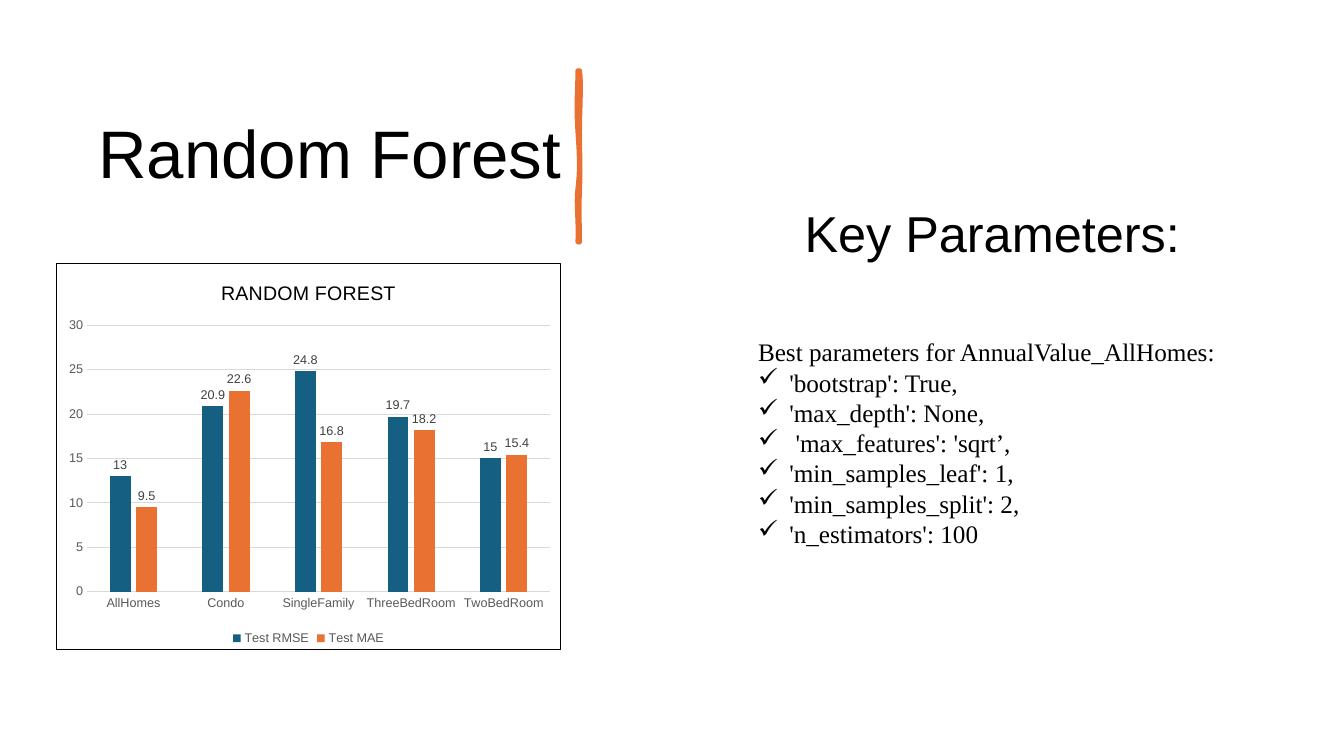
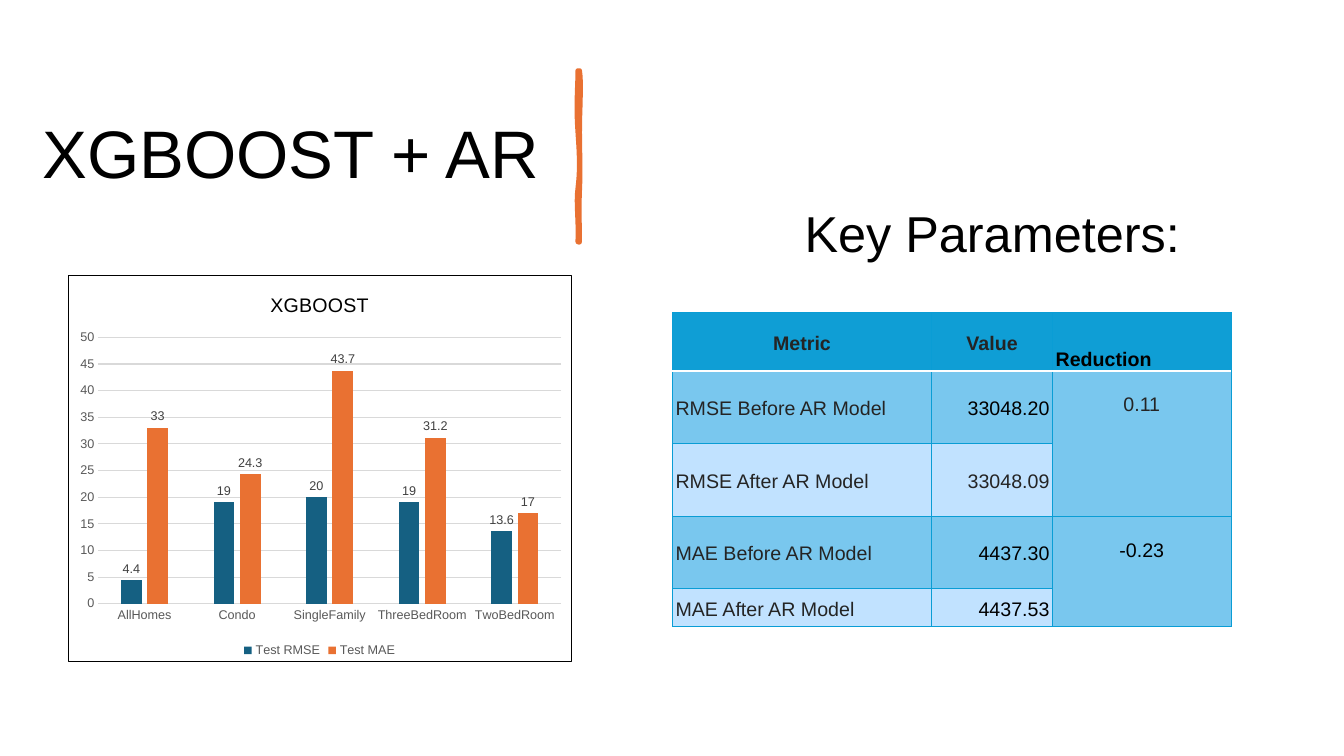
from lxml import etree
from pptx import Presentation
from pptx.chart.data import CategoryChartData
from pptx.dml.color import RGBColor
from pptx.enum.chart import XL_CHART_TYPE, XL_LABEL_POSITION, XL_LEGEND_POSITION, XL_TICK_MARK
from pptx.enum.text import MSO_ANCHOR, MSO_AUTO_SIZE, PP_ALIGN
from pptx.oxml.ns import qn
from pptx.util import Pt

PX = 9144  # EMU per px, 100 px to the inch
TITLE_ONLY = 5

BLACK = RGBColor(0x00, 0x00, 0x00)
WHITE = RGBColor(0xFF, 0xFF, 0xFF)
ORANGE = RGBColor(0xE9, 0x71, 0x32)
TEAL = RGBColor(0x15, 0x60, 0x82)
AXIS_GREY = RGBColor(0x59, 0x59, 0x59)
LABEL_GREY = RGBColor(0x40, 0x40, 0x40)
GRID_GREY = RGBColor(0xD9, 0xD9, 0xD9)
CELL_GREY = RGBColor(0x24, 0x24, 0x24)
HEADER_BLUE = RGBColor(0x0F, 0x9E, 0xD5)
BORDER_BLUE = RGBColor(0x0A, 0x9D, 0xD5)
BAND_BLUE = RGBColor(0x79, 0xC7, 0xEE)
PALE_BLUE = RGBColor(0xC1, 0xE2, 0xFF)

SANS, SERIF = "Arial", "Times New Roman"
LEFT, CENTER, RIGHT = PP_ALIGN.LEFT, PP_ALIGN.CENTER, PP_ALIGN.RIGHT
TOP, MIDDLE, BOTTOM = MSO_ANCHOR.TOP, MSO_ANCHOR.MIDDLE, MSO_ANCHOR.BOTTOM
COLUMNS = XL_CHART_TYPE.COLUMN_CLUSTERED
OUTSIDE_END = XL_LABEL_POSITION.OUTSIDE_END
LEGEND_BOTTOM = XL_LEGEND_POSITION.BOTTOM
NO_TICK = XL_TICK_MARK.NONE
NO_AUTOFIT = MSO_AUTO_SIZE.NONE

HOMES = ["AllHomes", "Condo", "SingleFamily", "ThreeBedRoom", "TwoBedRoom"]
PLOT_LAYOUT = {"x": 0.06, "y": 0.16, "w": 0.92, "h": 0.69}

# Brush stroke: start, then cubic curves (two controls and an end), in px
BRUSH_START = (575, 70)
BRUSH_CURVES = [
    ((577, 83), (575, 108), (575, 131)),
    ((575, 153), (576, 165), (575, 189)),
    ((574, 213), (575, 220), (575, 240)),
    ((574, 241), (574, 240), (573, 240)),
    ((574, 217), (571, 203), (573, 187)),
    ((575, 171), (575, 158), (573, 131)),
    ((571, 103), (573, 88), (573, 70)),
]

PARAMETERS = [
    "'bootstrap': True,", "'max_depth': None,", " 'max_features': 'sqrt’,",
    "'min_samples_leaf': 1,", "'min_samples_split': 2,", "'n_estimators': 100",
]
METRICS = [
    ["Metric", "Value", "Reduction"],
    ["RMSE Before AR Model", "33048.20", "0.11"],
    ["RMSE After AR Model", "33048.09", ""],
    ["MAE Before AR Model", "4437.30", "-0.23"],
    ["MAE After AR Model", "4437.53", ""],
]
BLACK_VALUES = {"Reduction", "33048.20", "4437.30", "4437.53", "-0.23"}


def scaled(*lengths):
    return [length * PX for length in lengths]


def style_font(font, size, color, name=SANS, bold=False):
    font.size, font.name, font.bold = Pt(size), name, bold
    font.color.rgb = color


def set_margins(target, left, top, right, bottom):
    (target.margin_left, target.margin_top,
     target.margin_right, target.margin_bottom) = scaled(left, top, right, bottom)


def add_title(slide, text, box):
    title = slide.shapes.title
    title.left, title.top, title.width, title.height = scaled(*box)
    frame = title.text_frame
    frame.text = text
    frame.word_wrap, frame.auto_size = True, NO_AUTOFIT
    frame.vertical_anchor = MIDDLE
    heading = frame.paragraphs[0]
    heading.alignment, heading.line_spacing = LEFT, 0.9
    style_font(heading.runs[0].font, 48, BLACK)


def add_brush(slide):
    def bezier(points, t):
        weights = ((1 - t) ** 3, 3 * t * (1 - t) ** 2, 3 * t * t * (1 - t), t ** 3)
        return tuple(PX * sum(w * p[axis] for w, p in zip(weights, points))
                     for axis in (0, 1))

    outline, start = [], BRUSH_START
    for curve in BRUSH_CURVES:
        outline += [bezier((start, *curve), step / 8) for step in range(1, 9)]
        start = curve[-1]
    builder = slide.shapes.build_freeform(*scaled(*BRUSH_START))
    builder.add_line_segments(outline, close=True)
    brush = builder.convert_to_shape()
    brush.shadow.inherit = False
    brush.fill.solid()
    brush.fill.fore_color.rgb = ORANGE
    brush.line.color.rgb = ORANGE
    brush.line.width = Pt(3.25)
    etree.SubElement(brush.line._get_or_add_ln(), qn("a:round"))


def add_subheading(slide, text, box):
    frame = slide.shapes.add_textbox(*scaled(*box)).text_frame
    frame.word_wrap = True
    set_margins(frame, 0, 0, 0, 0)
    frame.text = text
    style_font(frame.paragraphs[0].runs[0].font, 36, BLACK)


def frame_chart(chart):
    """Pin the plot area and give the chart a white fill and black border."""
    plot_area = chart._chartSpace.chart.plotArea
    for layout in plot_area.findall(qn("c:layout")):
        plot_area.remove(layout)
    layout = etree.Element(qn("c:layout"))
    plot_area.insert(0, layout)
    manual = etree.SubElement(layout, qn("c:manualLayout"))
    settings = {"layoutTarget": "inner", "xMode": "edge", "yMode": "edge", **PLOT_LAYOUT}
    for tag, value in settings.items():
        etree.SubElement(manual, qn("c:" + tag), val=str(value))

    border = etree.Element(qn("c:spPr"))
    fill = etree.SubElement(border, qn("a:solidFill"))
    etree.SubElement(fill, qn("a:srgbClr"), val=str(WHITE))
    line = etree.SubElement(border, qn("a:ln"), w=str(Pt(0.75)))
    fill = etree.SubElement(line, qn("a:solidFill"))
    etree.SubElement(fill, qn("a:srgbClr"), val=str(BLACK))
    chart._chartSpace.chart.addnext(border)


def add_error_chart(slide, title, rmse, mae, top_value, box):
    data = CategoryChartData()
    data.categories = HOMES
    data.add_series("Test RMSE", rmse)
    data.add_series("Test MAE", mae)
    chart = slide.shapes.add_chart(COLUMNS, *scaled(*box), data).chart
    style_font(chart.font, 10, BLACK)
    chart.has_title = True
    chart.chart_title.text_frame.text = title
    style_font(chart.chart_title.text_frame.paragraphs[0].runs[0].font, 14, BLACK)
    chart.chart_title.include_in_layout = False
    chart.has_legend = True
    chart.legend.position = LEGEND_BOTTOM
    chart.legend.include_in_layout = False
    style_font(chart.legend.font, 9, AXIS_GREY)

    # Axes
    for axis in (chart.category_axis, chart.value_axis):
        axis.major_tick_mark = axis.minor_tick_mark = NO_TICK
        style_font(axis.tick_labels.font, 9, AXIS_GREY)
    values = chart.value_axis
    values.minimum_scale, values.maximum_scale, values.major_unit = 0, top_value, 5
    values.format.line.fill.background()
    for line in (chart.category_axis.format.line, values.major_gridlines.format.line):
        line.color.rgb = GRID_GREY
        line.width = Pt(0.75)

    # Columns and their labels
    plot = chart.plots[0]
    plot.gap_width, plot.overlap, plot.vary_by_categories = 219, -27, False
    for series, color in zip(plot.series, (TEAL, ORANGE)):
        series.format.fill.solid()
        series.format.fill.fore_color.rgb = color
        labels = series.data_labels
        labels.show_value, labels.position = True, OUTSIDE_END
        style_font(labels.font, 9, LABEL_GREY)
    frame_chart(chart)


def add_parameters(slide, heading, parameters, box):
    frame = slide.shapes.add_textbox(*scaled(*box)).text_frame
    frame.word_wrap = True
    frame.text = "\n".join([heading, *parameters])
    for paragraph in frame.paragraphs:
        style_font(paragraph.runs[0].font, 18, BLACK, SERIF)
    for paragraph in frame.paragraphs[1:]:
        properties = paragraph._p.get_or_add_pPr()
        properties.set("marL", str(31 * PX))
        properties.set("indent", str(-31 * PX))
        bullet_color = etree.SubElement(properties, qn("a:buClr"))
        etree.SubElement(bullet_color, qn("a:srgbClr"), val=str(BLACK))
        etree.SubElement(properties, qn("a:buChar"), char="✓")


def set_borders(cell, row):
    white_side = {0: "B", 1: "T"}.get(row)
    for side in "LRTB":
        color, width = (WHITE, 2) if side == white_side else (BORDER_BLUE, 0.75)
        line = etree.SubElement(cell._tc.get_or_add_tcPr(), qn("a:ln" + side),
                                w=str(Pt(width)))
        fill = etree.SubElement(line, qn("a:solidFill"))
        etree.SubElement(fill, qn("a:srgbClr"), val=str(color))


def add_metrics_table(slide, rows, box):
    table = slide.shapes.add_table(len(rows), len(rows[0]), *scaled(*box)).table
    table.horz_banding = False
    for column, width in zip(table.columns, (257, 120, 177)):
        column.width = width * PX
    for row, height in zip(table.rows, (58, 72, 72, 72, 38)):
        row.height = height * PX
    for top in (1, 3):
        table.cell(top, 2).merge(table.cell(top + 1, 2))

    for r, texts in enumerate(rows):
        for c, text in enumerate(texts):
            cell = table.cell(r, c)
            set_borders(cell, r)
            cell.fill.solid()
            banded = r % 2 == 1 or c == 2
            cell.fill.fore_color.rgb = (
                HEADER_BLUE if r == 0 else BAND_BLUE if banded else PALE_BLUE)
            if not text:
                continue
            merged = r > 0 and c == 2
            set_margins(cell, *((45, 23, 45, 23) if merged else (3, 3, 3, 0)))
            cell.text = text
            if r == 0:
                alignment = (CENTER, CENTER, LEFT)[c]
                cell.vertical_anchor = BOTTOM if c == 2 else MIDDLE
            else:
                alignment = (LEFT, RIGHT, CENTER)[c]
                cell.vertical_anchor = TOP if merged else MIDDLE
            paragraph = cell.text_frame.paragraphs[0]
            paragraph.alignment = alignment
            color = BLACK if text in BLACK_VALUES else CELL_GREY
            style_font(paragraph.runs[0].font, 14, color, bold=r == 0)


def add_model_slide(deck, title, title_left):
    """Start a model slide with the title, brush stroke and subheading."""
    slide = deck.slides.add_slide(deck.slide_layouts[TITLE_ONLY])
    add_title(slide, title, (title_left, 50, 569, 211))
    add_brush(slide)
    add_subheading(slide, "Key Parameters:", (798, 200, 472, 71))
    return slide


def main():
    deck = Presentation()
    deck.slide_width, deck.slide_height = scaled(1333, 750)

    forest = add_model_slide(deck, " Random Forest", 69)
    add_parameters(forest, "Best parameters for AnnualValue_AllHomes:", PARAMETERS,
                   (742, 329, 524, 222))
    add_error_chart(forest, "RANDOM FOREST", (13, 20.9, 24.8, 19.7, 15),
                    (9.5, 22.6, 16.8, 18.2, 15.4), 30, (56, 261, 500, 384))

    boost = add_model_slide(deck, "XGBOOST + AR", 32)
    add_error_chart(boost, "XGBOOST", (4.4, 19, 20, 19, 13.6),
                    (33, 24.3, 43.7, 31.2, 17), 50, (67, 273, 500, 384))
    add_metrics_table(boost, METRICS, (667, 310, 554, 312))

    deck.save("out.pptx")


if __name__ == "__main__":
    main()
